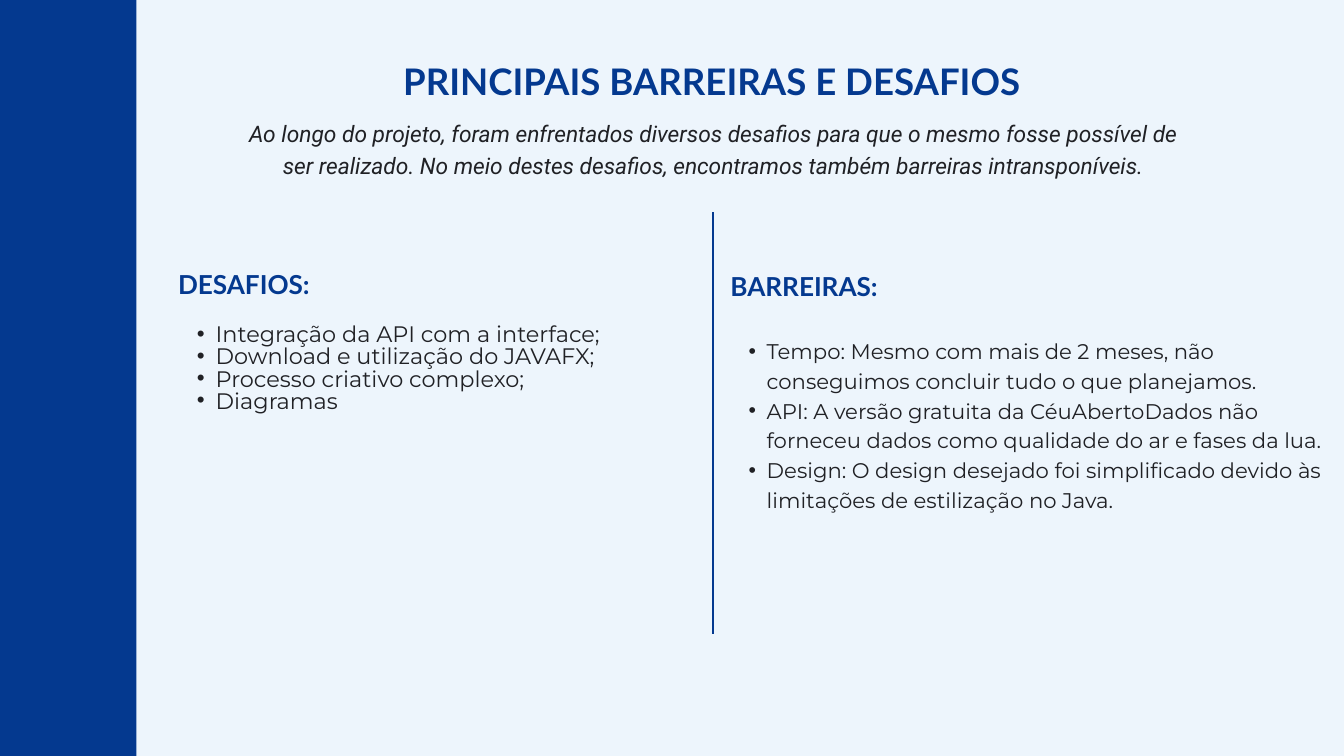
from lxml.etree import SubElement
from pptx import Presentation
from pptx.dml.color import RGBColor
from pptx.enum.shapes import MSO_CONNECTOR as Connector, MSO_SHAPE as Shape
from pptx.enum.text import PP_ALIGN as Align
from pptx.oxml.ns import qn
from pptx.util import Inches, Pt

COLORS = {"background": "EDF5FC", "blue": "04398F", "ink": "202125"}

TITLE = "PRINCIPAIS BARREIRAS E DESAFIOS"
INTRO = (
    "Ao longo do projeto, foram enfrentados diversos desafios para que o mesmo "
    "fosse possível de ser realizado. No meio destes desafios, encontramos "
    "também barreiras intransponíveis."
)
COLUMNS = [
    {
        "heading": "DESAFIOS:",
        "items": [
            "Integração da API com a interface;",
            "Download e utilização do JAVAFX;",
            "Processo criativo complexo;",
            "Diagramas",
        ],
        "box": (2.65, 4.07, 8.21, 2.13),
        "heading_line": 27.7, "gap": 27.7,
        "size": 24, "line": 23.7, "indent": 0.28,
    },
    {
        "heading": "BARREIRAS:",
        "items": [
            "Tempo: Mesmo com mais de 2 meses, não conseguimos concluir tudo o que planejamos.",
            "API: A versão gratuita da CéuAbertoDados não forneceu dados como qualidade do ar e fases da lua.",
            "Design: O design desejado foi simplificado devido às limitações de estilização no Java.",
        ],
        "box": (10.87, 3.95, 8.96, 4.16),
        "heading_line": 39.2, "gap": 34.6,
        "size": 22.7, "line": 31.8, "indent": 0.27,
    },
]


def color(name):
    return RGBColor.from_string(COLORS[name])


def add_frame(slide, box):
    frame = slide.shapes.add_textbox(*map(Inches, box)).text_frame
    frame.word_wrap = True
    frame.margin_left = frame.margin_right = 0
    frame.margin_top = frame.margin_bottom = 0
    return frame


def write(paragraph, text, font, size, line, ink, bold=False, italic=False, align=Align.LEFT):
    paragraph.text = text
    paragraph.alignment = align
    paragraph.line_spacing = Pt(line)
    style = paragraph.runs[0].font
    style.name, style.size = font, Pt(size)
    style.bold, style.italic = bold, italic
    style.color.rgb = color(ink)


def add_bullet(paragraph, indent):
    properties = paragraph._p.get_or_add_pPr()
    properties.set("marL", str(Inches(2 * indent)))
    properties.set("indent", str(-Inches(indent)))
    SubElement(properties, qn("a:buFont"), typeface="Arial")
    SubElement(properties, qn("a:buChar"), char="•")


def add_column(slide, column):
    frame = add_frame(slide, column["box"])
    heading = frame.paragraphs[0]
    write(heading, column["heading"], "Lato", 28, column["heading_line"], "blue", bold=True)
    heading.space_after = Pt(column["gap"])
    for item in column["items"]:
        paragraph = frame.add_paragraph()
        write(paragraph, item, "Montserrat", column["size"], column["line"], "ink")
        paragraph.level = 1
        add_bullet(paragraph, column["indent"])


def main():
    deck = Presentation()
    deck.slide_width, deck.slide_height = Inches(20), Inches(11.25)
    slide = deck.slides.add_slide(deck.slide_layouts[6])
    slide.background.fill.solid()
    slide.background.fill.fore_color.rgb = color("background")

    sidebar = slide.shapes.add_shape(Shape.RECTANGLE, 0, 0, Inches(2.03), deck.slide_height)
    sidebar.shadow.inherit = False
    sidebar.fill.solid()
    sidebar.fill.fore_color.rgb = color("blue")
    sidebar.line.fill.background()

    title = add_frame(slide, (5.39, 0.92, 10.41, 0.71))
    write(title.paragraphs[0], TITLE, "Lato", 39.2, 44.3, "blue", bold=True, align=Align.CENTER)
    intro = add_frame(slide, (3.48, 1.71, 14.26, 1.44))
    write(intro.paragraphs[0], INTRO, "Roboto", 24.4, 34.2, "ink", italic=True, align=Align.CENTER)

    for column in COLUMNS:
        add_column(slide, column)

    divider = slide.shapes.add_connector(
        Connector.STRAIGHT, Inches(10.61), Inches(9.43), Inches(10.61), Inches(3.15)
    )
    divider.line.color.rgb = color("blue")
    divider.line.width = Pt(3)
    SubElement(divider._element.spPr, qn("a:effectLst"))

    deck.save("out.pptx")


if __name__ == "__main__":
    main()
